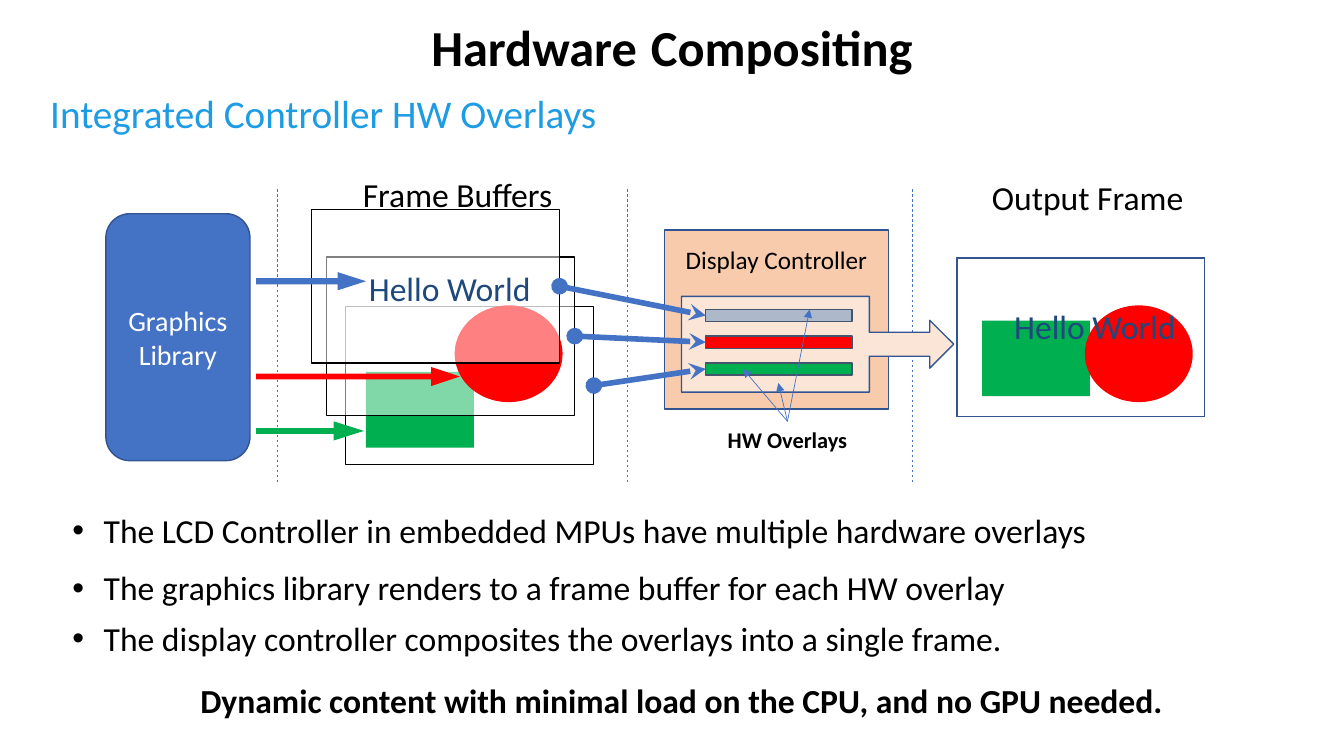
import pptx
import pptx.util
import pptx.dml.color
import pptx.enum.dml
import pptx.enum.shapes
import pptx.enum.text
import pptx.oxml.ns
from lxml import etree

Inches, Pt = pptx.util.Inches, pptx.util.Pt
RGBColor = pptx.dml.color.RGBColor
SHAPE = pptx.enum.shapes.MSO_SHAPE
ANCHOR = pptx.enum.text.MSO_ANCHOR
ALIGN = pptx.enum.text.PP_ALIGN
qn = pptx.oxml.ns.qn

BLACK = RGBColor(0x00, 0x00, 0x00)
WHITE = RGBColor(0xFF, 0xFF, 0xFF)
SKY = RGBColor(0x1D, 0x9C, 0xE4)
BLUE = RGBColor(0x44, 0x72, 0xC4)
EDGE = RGBColor(0x32, 0x54, 0x91)
NAVY = RGBColor(0x1F, 0x49, 0x7D)
SLATE = RGBColor(0x44, 0x54, 0x6A)
GRAY = RGBColor(0xAD, 0xB9, 0xCA)
PEACH = RGBColor(0xF8, 0xCB, 0xAD)
CREAM = RGBColor(0xFB, 0xE5, 0xD6)
RED = RGBColor(0xFF, 0x00, 0x00)
GREEN = RGBColor(0x00, 0xB0, 0x50)

# Content: boxes are (left, top, width, height) in inches
TITLE = [("Hardware", 36, True), (" ", 44, False), ("Compositing", 36, True)]
SUBTITLE = "Integrated Controller HW Overlays"
HEADINGS = [("Frame Buffers", (3.5, 1.68, 2.1, 0.5)),
            ("Output Frame", (9.74, 1.71, 2.12, 0.5))]
GREETING = "Hello World"
BULLETS = [
    (5.01, "The LCD Controller in embedded MPUs have multiple hardware overlays"),
    (5.58, "The graphics library renders to a frame buffer for each HW overlay"),
    (6.08, "The display controller composites the overlays into a single frame."),
]
CONCLUSION = "Dynamic content with minimal load on the CPU, and no GPU needed."
DIVIDERS = [2.75, 6.22, 9.05]
# Back to front: buffer box, opacity, drawn item (preset, box, colour)
BUFFERS = [
    ((3.43, 3.04, 2.46, 1.57), 100, (SHAPE.RECTANGLE, (3.63, 3.69, 1.07, 0.75), GREEN)),
    ((3.24, 2.55, 2.46, 1.57), 50, (SHAPE.OVAL, (4.51, 3.03, 1.07, 0.96), RED)),
    ((3.09, 2.08, 2.46, 1.52), 50, None),
]
OVERLAY_COLOURS = [GREEN, RED, GRAY]  # same order as BUFFERS
RENDER_ARROWS = [((2.54, 2.7, 1.09, 0.18), (0.35, 1.56), BLUE),
                 ((2.54, 3.64, 2.02, 0.19), (0.29, 1.5), RED),
                 ((2.54, 4.18, 1.07, 0.19), (0.3, 1.58), GREEN)]
OUTPUT = (9.49, 2.56, 2.46, 1.57)
OUTPUT_ITEMS = [(SHAPE.RECTANGLE, (9.74, 3.18, 1.07, 0.75), GREEN),
                (SHAPE.OVAL, (10.76, 3.03, 1.07, 0.96), RED)]
POINTER_ENDS = [(7.72, 3.8), (8.03, 3.07), (7.37, 3.66)]

deck = pptx.Presentation()
deck.slide_width, deck.slide_height = Inches(13.33), Inches(7.5)
slide = deck.slides.add_slide(deck.slide_layouts[6])
canvas = slide.shapes


def add_shape(parent, preset, box, fill=None, line=None, opacity=100, adjust=()):
    shape = parent.add_shape(preset, *map(Inches, box))
    shape.shadow.inherit = False
    for i, value in enumerate(adjust):
        shape.adjustments[i] = value
    if fill is None:
        shape.fill.background()
    else:
        shape.fill.solid()
        shape.fill.fore_color.rgb = fill
        if opacity < 100:
            colour = shape.fill._xPr.find(".//" + qn("a:srgbClr"))
            etree.SubElement(colour, qn("a:alpha")).set("val", str(opacity * 1000))
    if line is None:
        shape.line.fill.background()
    else:
        shape.line.color.rgb = line
        shape.line.width = Pt(1)
    return shape


def add_line(parent, start, end, width, head=None, tail=None, dash=None):
    line = parent.add_connector(pptx.enum.shapes.MSO_CONNECTOR.STRAIGHT,
                                *map(Inches, start + end))
    line.line.color.rgb = BLUE
    line.line.width = Pt(width)
    if dash:
        line.line.dash_style = dash
    for tag, kind in (("a:headEnd", head), ("a:tailEnd", tail)):
        if kind:
            etree.SubElement(line.line._get_or_add_ln(), qn(tag)).set("type", kind)
    etree.SubElement(line._element.spPr, qn("a:effectLst"))
    return line


def write(holder, text, size=24, colour=BLACK, bold=False, align=ALIGN.LEFT,
          anchor=ANCHOR.TOP, wrap=True, spacing=None, bullet=False, inset=0.05):
    """Fill a shape with one paragraph; text is a string or (text, size, bold) runs."""
    frame = holder.text_frame
    frame.word_wrap = wrap
    frame.vertical_anchor = anchor
    frame.margin_top = Inches(inset)
    paragraph = frame.paragraphs[0]
    paragraph.alignment = align
    if spacing:
        paragraph.line_spacing = spacing
    if bullet:
        props = paragraph._p.get_or_add_pPr()
        props.set("marL", str(Inches(0.31)))
        props.set("indent", str(-Inches(0.31)))
        etree.SubElement(props, qn("a:buFont")).set("typeface", "Arial")
        etree.SubElement(props, qn("a:buChar")).set("char", "•")
    for words, points, strong in [(text, size, bold)] if isinstance(text, str) else text:
        run = paragraph.add_run()
        run.text = words
        run.font.name = "Calibri"
        run.font.size = Pt(points)
        run.font.bold = strong
        run.font.color.rgb = colour
    return holder


def add_label(parent, box, text, **style):
    return write(parent.add_textbox(*map(Inches, box)), text, **style)


# Titles and column dividers
add_label(canvas, (4.18, 0.04, 5.16, 0.85), TITLE, anchor=ANCHOR.MIDDLE, spacing=0.9)
add_label(canvas, (0.4, 0.91, 12.47, 0.47), SUBTITLE, size=28, colour=SKY,
          anchor=ANCHOR.MIDDLE, spacing=0.9)
for x in DIVIDERS:
    add_line(canvas, (x, 1.88), (x, 4.78), 0.5, dash=pptx.enum.dml.MSO_LINE.DASH)

# Graphics library and display controller
library = add_shape(canvas, SHAPE.ROUNDED_RECTANGLE, (1.05, 2.12, 1.43, 2.45), BLUE, EDGE)
write(library, "Graphics Library", size=20, colour=WHITE, align=ALIGN.CENTER,
      anchor=ANCHOR.MIDDLE)
controller = add_shape(canvas, SHAPE.RECTANGLE, (6.59, 2.28, 2.22, 1.78), PEACH, EDGE)
write(controller, "Display Controller", size=18, align=ALIGN.CENTER, inset=0.14)
add_shape(canvas, SHAPE.RIGHT_ARROW_CALLOUT, (6.76, 2.94, 2.7, 0.95), CREAM, EDGE,
          adjust=(0.25, 0.25, 0.25, 0.69))

# Frame buffers, each joined to its hardware overlay
buffers = []
for box, opacity, item in BUFFERS:
    buffers.append(add_shape(canvas, SHAPE.RECTANGLE, box, WHITE, BLACK, opacity))
    if item:
        add_shape(canvas, *item)
overlays = [add_shape(canvas, SHAPE.RECTANGLE, (7, 3.6 - 0.265 * i, 1.45, 0.12), colour, SLATE)
            for i, colour in enumerate(OVERLAY_COLOURS)]
for buffer, overlay in zip(buffers, overlays):
    feed = add_line(canvas, (5.5, 3), (7, 3.4), 4, head="oval", tail="stealth")
    feed.begin_connect(buffer, 3)
    feed.end_connect(overlay, 1)
for box, adjust, colour in RENDER_ARROWS:
    add_shape(canvas, SHAPE.RIGHT_ARROW, box, colour, adjust=adjust)
for heading, box in HEADINGS:
    add_label(canvas, box, heading, wrap=False)
add_label(canvas, (3.56, 2.61, 1.82, 0.5), GREETING, colour=NAVY, wrap=False)

# Composited output frame
output = canvas.add_group_shape().shapes
add_shape(output, SHAPE.RECTANGLE, OUTPUT, WHITE, EDGE)
for item in OUTPUT_ITEMS:
    add_shape(output, *item)
add_shape(output, SHAPE.RECTANGLE, OUTPUT, line=EDGE)
add_label(output, (9.96, 2.99, 1.82, 0.5), GREETING, colour=NAVY, wrap=False)

# Overlay caption with pointers
caption = canvas.add_group_shape().shapes
overlay_name = add_label(caption, (6.9, 4.18, 1.82, 0.37), "HW Overlays", size=16,
                         bold=True, align=ALIGN.CENTER)
for end in POINTER_ENDS:
    pointer = add_line(caption, (7.81, 4.18), end, 0.5, tail="triangle")
    pointer.begin_connect(overlay_name, 0)

# Bullets and conclusion
for top, sentence in BULLETS:
    add_label(canvas, (0.62, top, 12.77, 0.5), sentence, bullet=True)
add_label(canvas, (0.47, 6.5, 12.58, 0.64), CONCLUSION, bold=True,
          align=ALIGN.CENTER, spacing=1.5)

deck.save("out.pptx")
